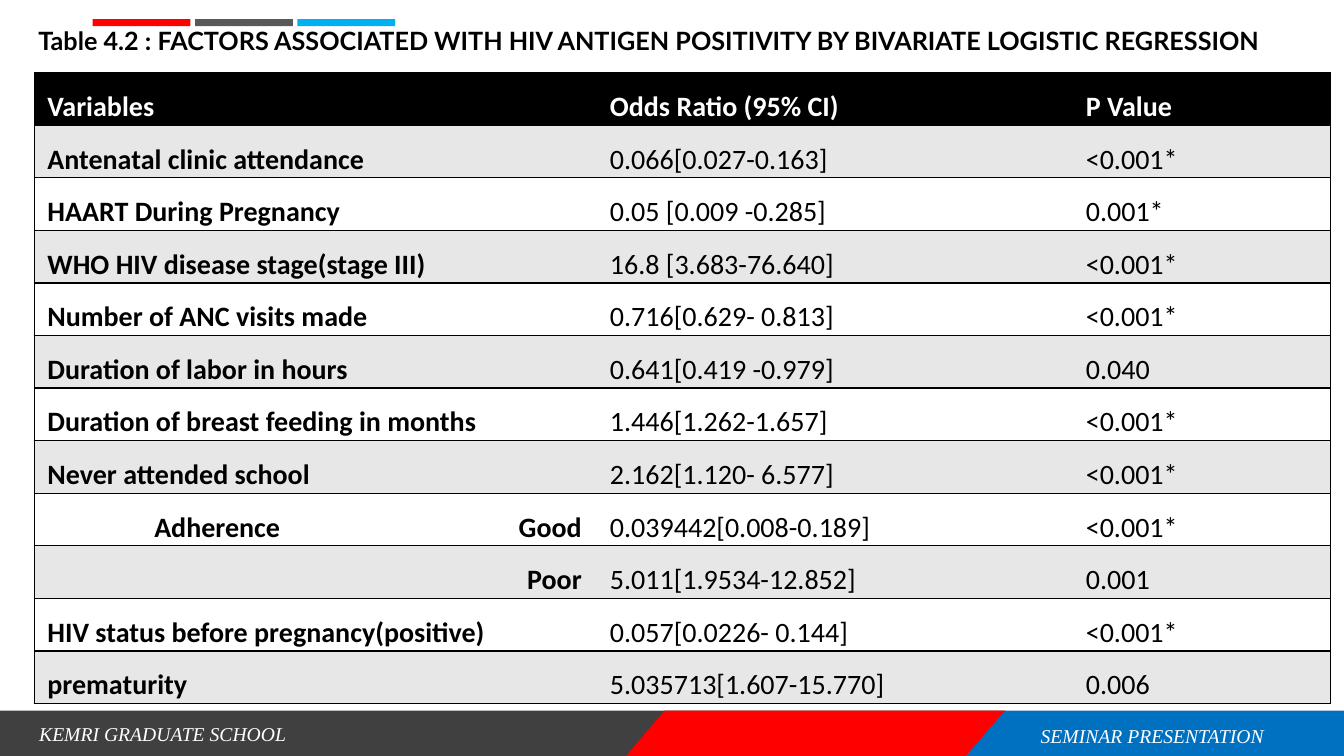
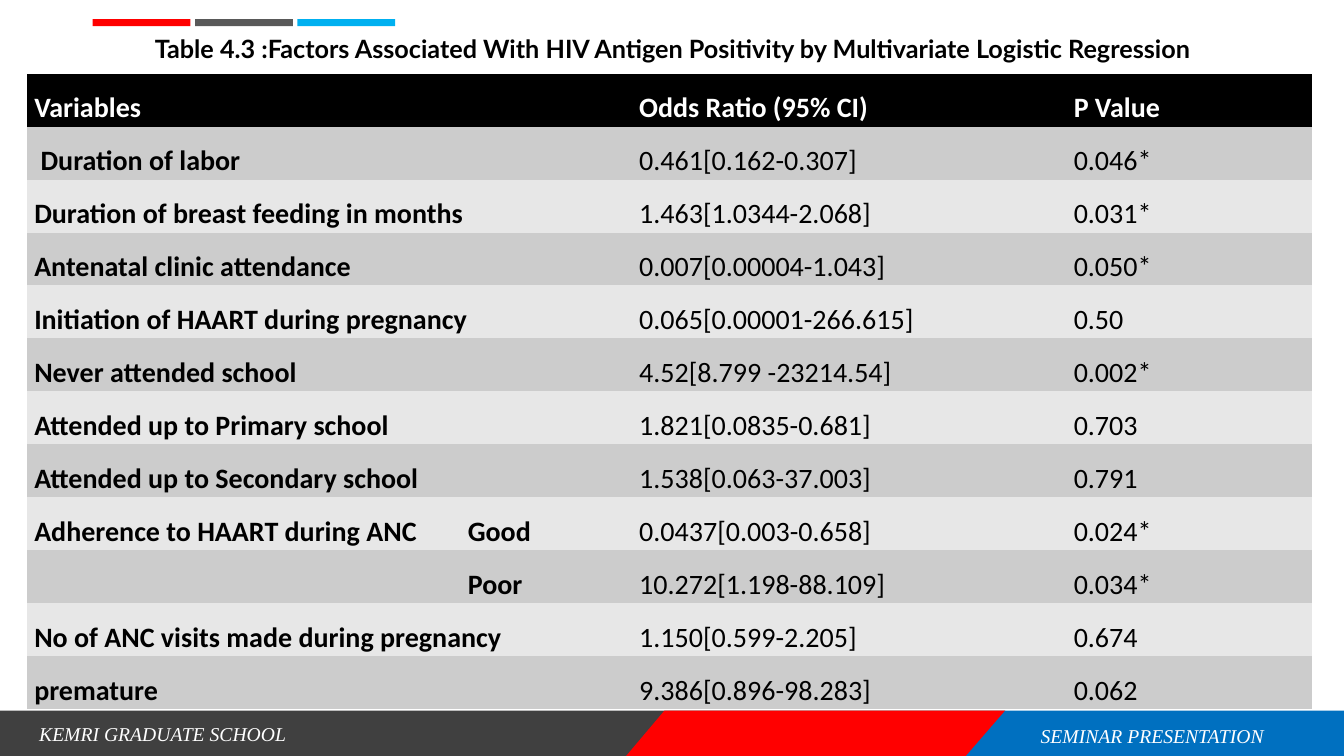
"""Build two slides of logistic regression tables in a shared seminar style."""
import dataclasses

import pptx
import pptx.dml.color
import pptx.enum.shapes
import pptx.enum.text
import pptx.oxml
import pptx.oxml.ns
import pptx.util

Inches = pptx.util.Inches
Pt = pptx.util.Pt
Align = pptx.enum.text.PP_ALIGN
Anchor = pptx.enum.text.MSO_ANCHOR
TITLE_ONLY = 5
PLAIN_TABLE = "{2D5ABB26-0587-4C30-8999-92F81FD0307C}"


@dataclasses.dataclass(frozen=True)
class Theme:
    black: str = "000000"
    white: str = "FFFFFF"
    charcoal: str = "404040"
    gray: str = "595959"
    red: str = "FF0000"
    blue: str = "0070C0"
    sky: str = "00B0F0"
    light_row: str = "E7E7E7"
    dark_row: str = "CCCCCC"
    title_font: str = "Lato"
    table_font: str = "Calibri"
    footer_font: str = "Times New Roman"
    title_size: int = 18
    table_size: int = 20
    footer_size: int = 14


def rgb(color):
    return pptx.dml.color.RGBColor.from_string(color)


def assign(target, values):
    for name, value in values.items():
        setattr(target, name, value)


class SeminarDeck:
    def __init__(self, theme):
        self.theme = theme
        self.deck = pptx.Presentation()
        assign(self.deck, {"slide_width": Inches(13.33), "slide_height": Inches(7.5)})
        self.page = None

    def add_page(self, title, place):
        self.page = self.deck.slides.add_slide(self.deck.slide_layouts[TITLE_ONLY])
        self.title(title, place)
        self.footer()
        self.accent_bars()

    def place(self, shape, place):
        assign(shape, dict(zip(("left", "top", "width", "height"), map(Inches, place))))

    def add_span(self, paragraph, text, font, size, color, **styles):
        span = paragraph.add_run()
        span.text = text
        assign(span.font, {"name": font, "size": Pt(size), **styles})
        span.font.color.rgb = rgb(color)

    def paint(self, shape, color):
        shape.shadow.inherit = False
        shape.fill.solid()
        shape.fill.fore_color.rgb = rgb(color)
        shape.line.fill.background()

    def title(self, text, place):
        box = self.page.shapes.title
        self.place(box, place)
        assign(box.text_frame, {
            "auto_size": pptx.enum.text.MSO_AUTO_SIZE.NONE,
            "vertical_anchor": Anchor.MIDDLE,
            "word_wrap": True,
        })
        paragraph = box.text_frame.paragraphs[0]
        assign(paragraph, {"alignment": Align.CENTER, "line_spacing": 0.9})
        theme = self.theme
        self.add_span(paragraph, text, theme.title_font, theme.title_size, theme.black, bold=True)

    def band(self, color, points):
        corners = [(Inches(x), Inches(y)) for x, y in points]
        builder = self.page.shapes.build_freeform(*corners[0])
        builder.add_line_segments(corners[1:], close=True)
        shape = builder.convert_to_shape()
        self.paint(shape, color)
        return shape

    def footer_text(self, box, text, alignment):
        theme = self.theme
        box.text_frame.word_wrap = True
        paragraph = box.text_frame.paragraphs[0]
        paragraph.alignment = alignment
        self.add_span(paragraph, text, theme.footer_font, theme.footer_size, theme.white, italic=True)

    def footer(self):
        theme = self.theme
        top, bottom = 7.05, 7.5
        self.band(theme.charcoal, [(0, top), (9.97, top), (9.58, bottom), (0, bottom)])
        self.band(theme.red, [(6.59, top), (9.97, top), (9.97, bottom), (6.21, bottom)])
        event = self.band(theme.blue, [(9.97, top), (13.33, top), (13.33, bottom), (9.58, bottom)])
        assign(event.text_frame, {"vertical_anchor": Anchor.MIDDLE,
                                  "margin_right": Inches(0.15),
                                  "margin_top": Inches(0.1)})
        self.footer_text(event, "SEMINAR PRESENTATION", Align.CENTER)
        school = self.page.shapes.add_textbox(*map(Inches, (0.29, 7.11, 4.59, 0.34)))
        self.footer_text(school, "KEMRI GRADUATE SCHOOL", Align.LEFT)

    def accent_bars(self):
        theme = self.theme
        for index, color in enumerate((theme.red, theme.gray, theme.sky)):
            bar = self.page.shapes.add_shape(
                pptx.enum.shapes.MSO_SHAPE.RECTANGLE,
                *map(Inches, (0.92 + index * 1.015, 0.19, 0.97, 0.07)))
            self.paint(bar, color)

    def tab_stops(self, paragraph, stops):
        properties = paragraph._p.get_or_add_pPr()
        tabs = pptx.oxml.parse_xml(f"<a:tabLst {pptx.oxml.ns.nsdecls('a')}/>")
        for position, side in stops:
            tabs.append(pptx.oxml.parse_xml(
                f"<a:tab {pptx.oxml.ns.nsdecls('a')} pos='{Inches(position)}' algn='{side}'/>"))
        properties.append(tabs)

    def borders(self, cell, sides):
        properties = cell._tc.get_or_add_tcPr()
        for index, side in enumerate(sides):
            properties.insert(index, pptx.oxml.parse_xml(
                f"<a:ln{side} {pptx.oxml.ns.nsdecls('a')} w='{Pt(1)}'><a:solidFill>"
                f"<a:srgbClr val='{self.theme.black}'/></a:solidFill></a:ln{side}>"))

    def cell(self, cell, text, color, fill, bold, margin, stops):
        theme = self.theme
        assign(cell, {"margin_left": Inches(margin), "margin_right": Inches(margin),
                      "margin_top": 0, "margin_bottom": 0, "vertical_anchor": Anchor.TOP})
        cell.fill.solid()
        cell.fill.fore_color.rgb = rgb(fill)
        paragraph = cell.text_frame.paragraphs[0]
        paragraph.line_spacing = 1.5
        if "\t" in text:
            self.tab_stops(paragraph, stops)
        self.add_span(paragraph, text, theme.table_font, theme.table_size, color, bold=bold)

    def table(self, place, widths, rows, bands, margin, stops, ruled=False):
        theme = self.theme
        frame = self.page.shapes.add_table(len(rows), len(widths), *map(Inches, place))
        frame._element.find(f".//{pptx.oxml.ns.qn('a:tableStyleId')}").text = PLAIN_TABLE
        table = frame.table
        assign(table, {"first_row": False, "horz_banding": False})
        for column, width in zip(table.columns, widths):
            column.width = Inches(width)
        last = len(widths) - 1
        for row_index, row in enumerate(rows):
            table.rows[row_index].height = Inches(place[3] / len(rows))
            header = row_index == 0
            color = theme.white if header else theme.black
            fill = theme.black if header else bands[(row_index - 1) % 2]
            for column_index, text in enumerate(row):
                cell = table.cell(row_index, column_index)
                self.cell(cell, text, color, fill, header or column_index == 0, margin, stops)
                if ruled:
                    edges = {0: "LTB", last: "RTB"}
                    self.borders(cell, edges.get(column_index, "TB"))

    def save(self):
        self.deck.save("out.pptx")


HEADER = ("Variables", "Odds Ratio (95% CI)", "P Value")

BIVARIATE = [
    HEADER,
    ("Antenatal clinic attendance", "0.066[0.027-0.163]", "<0.001*"),
    ("HAART During Pregnancy", "0.05 [0.009 -0.285]", "0.001*"),
    ("WHO HIV disease stage(stage III)", "16.8 [3.683-76.640]", "<0.001*"),
    ("Number of ANC visits made", "0.716[0.629- 0.813]", "<0.001*"),
    ("Duration of labor in hours", "0.641[0.419 -0.979]", "0.040"),
    ("Duration of breast feeding in months", "1.446[1.262-1.657]", "<0.001*"),
    ("Never attended school", "2.162[1.120- 6.577]", "<0.001*"),
    ("\tAdherence\tGood", "0.039442[0.008-0.189]", "<0.001*"),
    ("\t\tPoor", "5.011[1.9534-12.852]", "0.001"),
    ("HIV status before pregnancy(positive)", "0.057[0.0226- 0.144]", "<0.001*"),
    ("prematurity", "5.035713[1.607-15.770]", "0.006"),
]

MULTIVARIATE = [
    HEADER,
    (" Duration of labor", "0.461[0.162-0.307]", "0.046*"),
    ("Duration of breast feeding in months", "1.463[1.0344-2.068]", "0.031*"),
    ("Antenatal clinic attendance", "0.007[0.00004-1.043]", "0.050*"),
    ("Initiation of HAART during pregnancy", "0.065[0.00001-266.615]", "0.50"),
    ("Never attended school", "4.52[8.799 -23214.54]", "0.002*"),
    ("Attended up to Primary school", "1.821[0.0835-0.681]", "0.703"),
    ("Attended up to Secondary school", "1.538[0.063-37.003]", "0.791"),
    ("Adherence to HAART during ANC\tGood", "0.0437[0.003-0.658]", "0.024*"),
    ("\tPoor", "10.272[1.198-88.109]", "0.034*"),
    ("No of ANC visits made during pregnancy", "1.150[0.599-2.205]", "0.674"),
    ("premature", "9.386[0.896-98.283]", "0.062"),
]


def main():
    theme = Theme()
    seminar = SeminarDeck(theme)
    seminar.add_page(
        "Table 4.2 : FACTORS ASSOCIATED WITH HIV ANTIGEN POSITIVITY BY BIVARIATE LOGISTIC REGRESSION",
        (0, 0.13, 12.87, 0.59))
    seminar.table((0.34, 0.72, 12.86, 6.26), (5.58, 4.72, 2.56), BIVARIATE,
                  (theme.light_row, theme.white), margin=0.13,
                  stops=[(1.06, "l"), (5.3, "r")], ruled=True)
    seminar.add_page(
        "Table 4.3 :Factors Associated With HIV Antigen Positivity by Multivariate Logistic Regression",
        (0.92, 0.17, 11.5, 0.66))
    seminar.table((0.27, 0.73, 12.74, 6.31), (6, 4.31, 2.43), MULTIVARIATE,
                  (theme.dark_row, theme.light_row), margin=0.07, stops=[(4.3, "l")])
    seminar.save()


if __name__ == "__main__":
    main()
